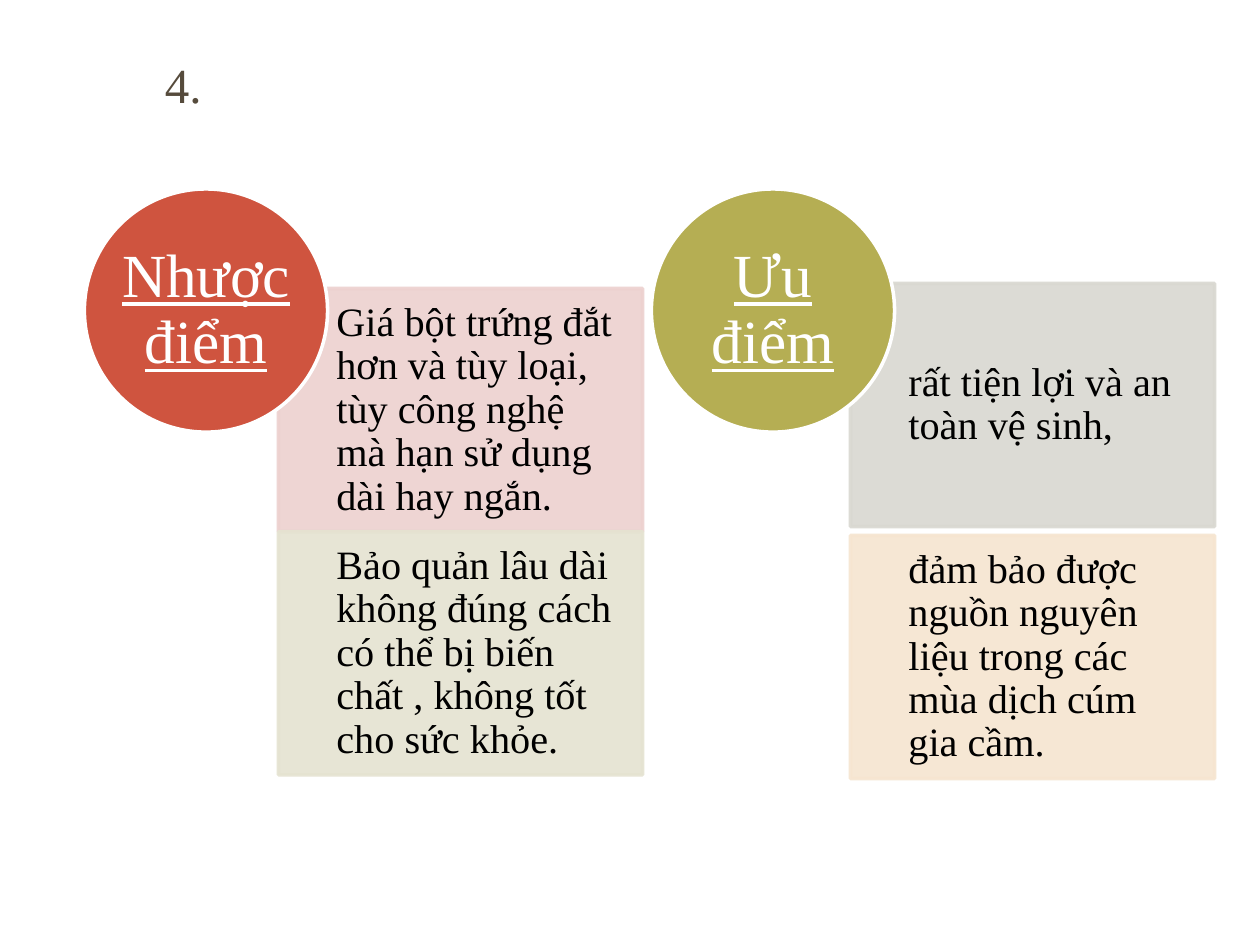
from lxml import etree
from pptx import Presentation
from pptx.dml.color import RGBColor
from pptx.enum.shapes import MSO_SHAPE
from pptx.enum.text import MSO_ANCHOR, PP_ALIGN
from pptx.oxml.ns import qn
from pptx.util import Inches, Pt

RECT, OVAL = MSO_SHAPE.RECTANGLE, MSO_SHAPE.OVAL
TOP, MIDDLE = MSO_ANCHOR.TOP, MSO_ANCHOR.MIDDLE
LEFT, CENTER = PP_ALIGN.LEFT, PP_ALIGN.CENTER

FONT = "Times New Roman"
CIRCLE = 1.93                   # circle diameter, also the card height
CARD_WIDTH = 2.89
CARD_INSETS = (0.46, 0.18, 0.18, 0.18)
OPACITY = 90

COMPARISON_TOP = 1.5
# Each side: left edge, circle, card offset from the circle, card pitch, cards
SIDES = [
    (0.67, "Nhược điểm", "CF543F", (1.54, 0.79), 1.93, [
        ("Giá bột trứng đắt hơn và tùy loại, tùy công nghệ mà hạn sử dụng "
         "dài hay ngắn.", "EDD1CF"),
        ("Bảo quản lâu dài không đúng cách có thể bị biến chất , không tốt "
         "cho sức khỏe.", "E5E3D1")]),
    (5.17, "Ưu điểm", "B5AE53", (1.58, 0.75), 2.0, [
        ("rất tiện lợi và an toàn vệ sinh,", "D9D8D1"),
        ("đảm bảo được nguồn nguyên liệu trong các mùa dịch cúm gia cầm.",
         "F6E5D0")]),
]


def rgb(value):
    return RGBColor.from_string(value)


def write(shape, text, size, color="000000", align=LEFT, anchor=MIDDLE,
          insets=(0, 0, 0, 0), underline=None, spacing=0.9):
    frame = shape.text_frame
    frame.word_wrap = True
    frame.vertical_anchor = anchor
    (frame.margin_left, frame.margin_top,
     frame.margin_right, frame.margin_bottom) = map(Inches, insets)
    paragraph = frame.paragraphs[0]
    paragraph.alignment = align
    paragraph.line_spacing = spacing
    run = paragraph.add_run()
    run.text = text
    run.font.name = FONT
    run.font.size = Pt(size)
    run.font.underline = underline
    run.font.color.rgb = rgb(color)


def add_panel(slide, kind, box, fill, line, opacity=100):
    panel = slide.shapes.add_shape(kind, *map(Inches, box))
    panel.shadow.inherit = False
    panel.fill.solid()
    panel.fill.fore_color.rgb = rgb(fill)
    panel.line.color.rgb = rgb(line)
    panel.line.width = Pt(2)
    if opacity < 100:
        for color in panel.element.spPr.iter(qn("a:srgbClr")):
            alpha = etree.SubElement(color, qn("a:alpha"))
            alpha.set("val", str(opacity * 1000))
    return panel


def add_heading(slide, box):
    heading = slide.shapes.add_textbox(*map(Inches, box))
    write(heading, "4.", 28, "564B3C", anchor=TOP,
          insets=(1.23, 0.1, 0.1, 0.05), spacing=1.0)


def add_side(slide, left, top, label, color, offset, pitch, cards):
    # Stacked cards, below and right of the circle
    for row, (statement, tint) in enumerate(cards):
        box = (left + offset[0], top + offset[1] + row * pitch,
               CARD_WIDTH, CIRCLE)
        card = add_panel(slide, RECT, box, tint, tint, OPACITY)
        write(card, statement, 23, insets=CARD_INSETS)
    # Circle over the corner of the first card
    circle = add_panel(slide, OVAL, (left, top, CIRCLE, CIRCLE),
                       color, "FFFFFF")
    write(circle, label, 35, "FFFFFF", align=CENTER, underline=True)


def main():
    deck = Presentation()
    deck.slide_width, deck.slide_height = Inches(10), Inches(7.5)
    slide = deck.slides.add_slide(deck.slide_layouts[6])
    add_heading(slide, (0.08, 0.33, 9.83, 7.08))
    for left, *side in SIDES:
        add_side(slide, left, COMPARISON_TOP, *side)
    deck.save("out.pptx")


if __name__ == "__main__":
    main()
